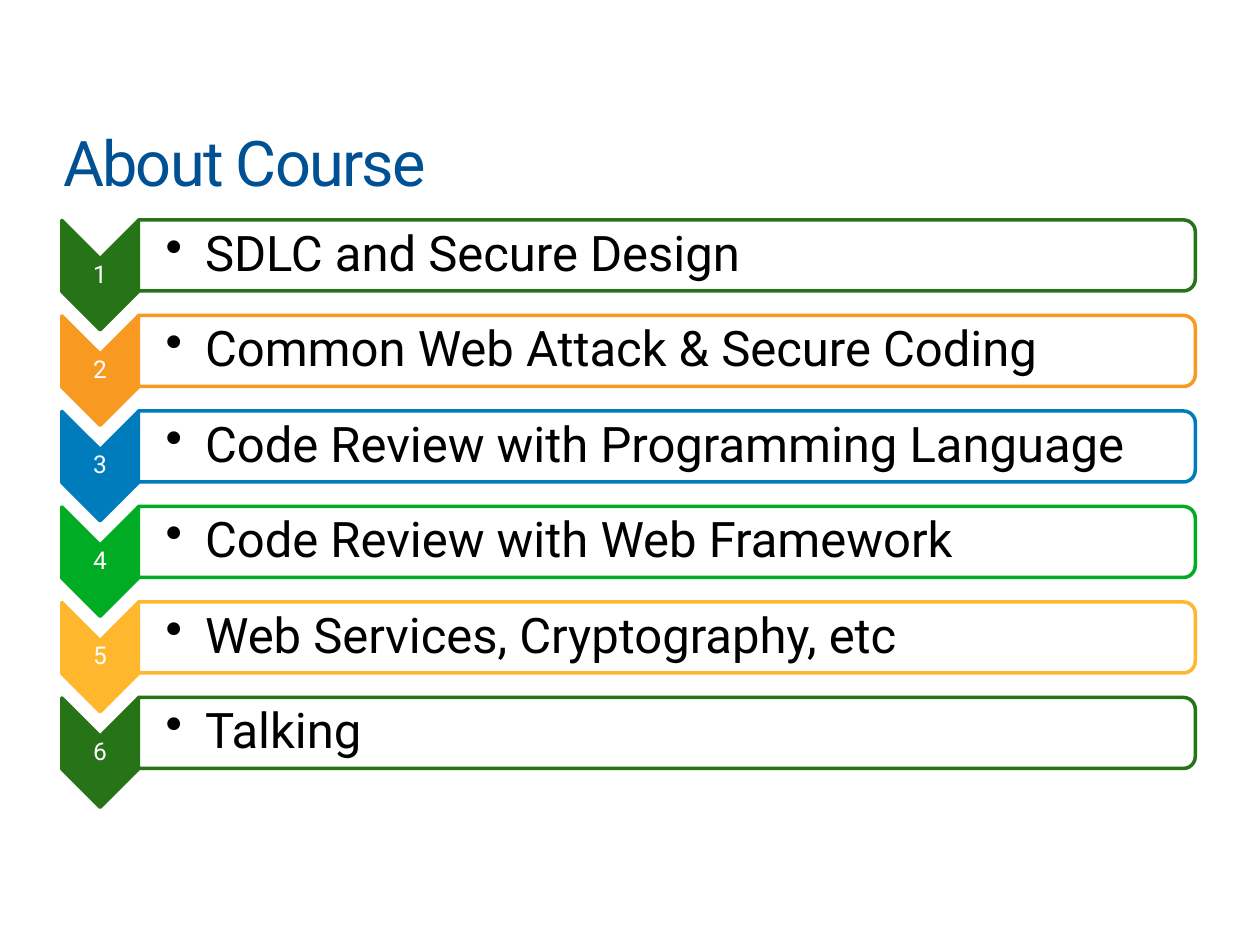
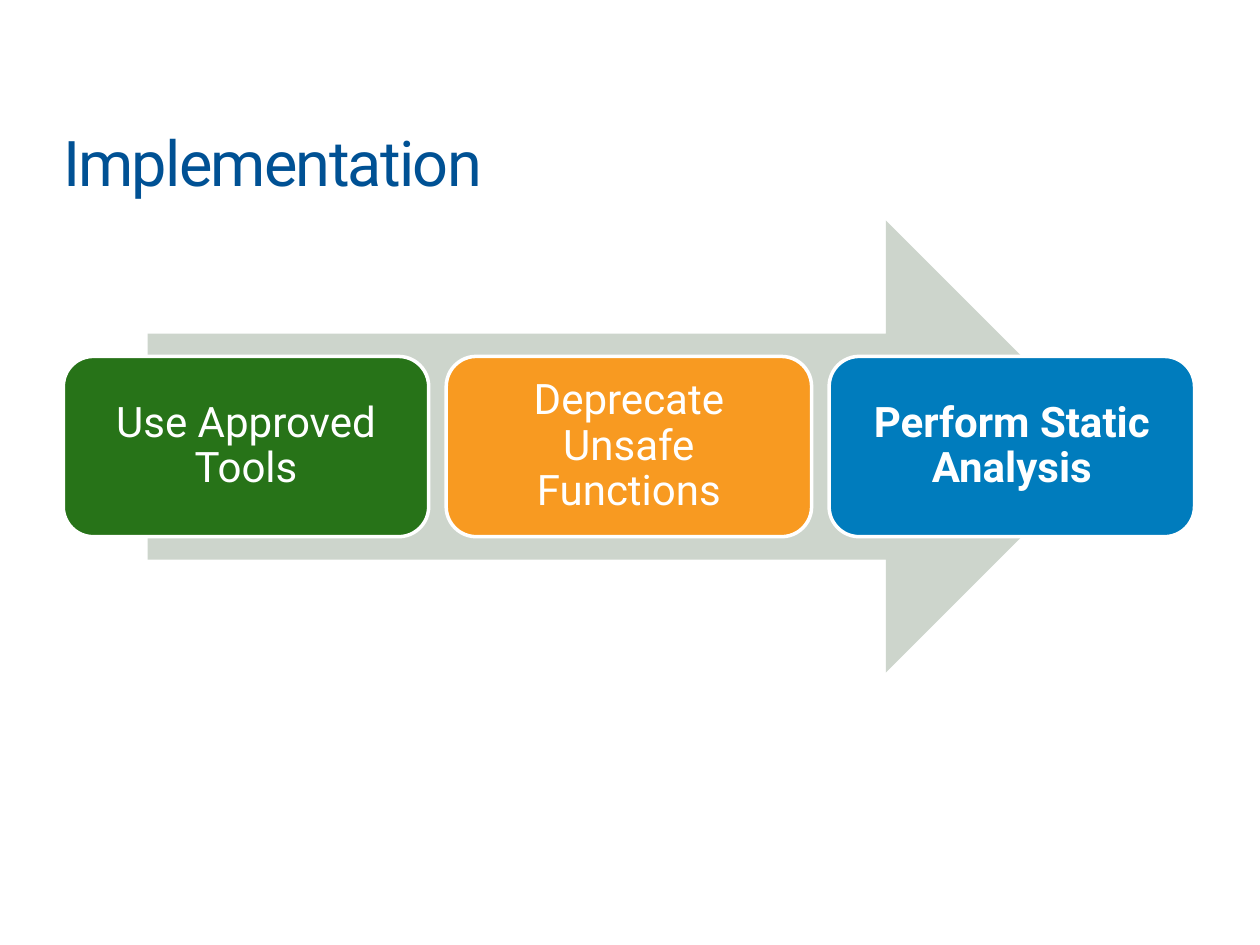
from dataclasses import dataclass

from lxml.etree import SubElement
from pptx import Presentation
from pptx.dml.color import RGBColor
from pptx.enum.shapes import MSO_SHAPE as Preset
from pptx.enum.text import MSO_ANCHOR as Anchor, PP_ALIGN as Align
from pptx.oxml.ns import qn
from pptx.util import Pt


@dataclass(frozen=True)
class Theme:
    font: str = "Roboto"
    title: str = "005194"
    text: str = "000000"
    white: str = "FFFFFF"
    arrow: str = "CDD5CC"
    accents: tuple = ("277318", "F89A21", "007CBD", "00AC24", "FFB82E")
    title_size: int = 36
    topic_size: int = 28
    step_size: int = 24
    number_size: int = 14
    outline: int = 2


THEME = Theme()

COURSE_TITLE = "About Course"
TOPICS = [
    "SDLC and Secure Design",
    "Common Web Attack & Secure Coding",
    "Code Review with Programming Language",
    "Code Review with Web Framework",
    "Web Services, Cryptography, etc",
    "Talking",
]

PRACTICE_TITLE = "Implementation"
# Step, emphasised
STEPS = [
    ("Use Approved Tools", False),
    ("Deprecate Unsafe Functions", False),
    ("Perform Static Analysis", True),
]

# Layout in points
SLIDE_SIZE = (720, 540)
TITLE_BOX = (36, 70.6, 648, 44)
ROW_PITCH = 54.57
BAR_CENTER = (381, 146)
BAR_LENGTH, BAR_HEIGHT = 604, 40.6
CHEVRON_CENTER = (57.2, 157.2)
CHEVRON_LENGTH, CHEVRON_WIDTH = 62.5, 43.75
NUMBER_HEIGHT = 19
ARROW_BOX = (84.4, 126, 551, 258.4)
STEP_LEFT, STEP_PITCH = 36.2, 218.8
STEP_WIDTH, STEP_HEIGHT = 208.8, 103


def color(value):
    return RGBColor.from_string(value)


def centered_box(center, width, height):
    return center[0] - width / 2, center[1] - height / 2, width, height


def set_text(shape, content, size, ink, align, inset, bold=False):
    """Write one middle-anchored paragraph; inset is left, then the other sides."""
    frame = shape.text_frame
    frame.word_wrap = True
    frame.vertical_anchor = Anchor.MIDDLE
    frame.margin_left = Pt(inset[0])
    frame.margin_top = frame.margin_right = frame.margin_bottom = Pt(inset[1])
    paragraph = frame.paragraphs[0]
    paragraph.text = content
    paragraph.alignment = align
    paragraph.line_spacing = 0.9
    style_run(paragraph.runs[0], size, ink, bold)
    return paragraph


def style_run(run, size, ink, bold=False):
    run.font.name = THEME.font
    run.font.size = Pt(size)
    run.font.bold = bold
    run.font.color.rgb = color(ink)


def add_preset(slide, preset, box, fill, line=None, rotation=0):
    shape = slide.shapes.add_shape(preset, *map(Pt, box))
    shape.shadow.inherit = False
    shape.rotation = rotation
    shape.fill.solid()
    shape.fill.fore_color.rgb = color(fill)
    if line:
        shape.line.color.rgb = color(line)
        shape.line.width = Pt(THEME.outline)
    else:
        shape.line.fill.background()
    return shape


def add_titled_slide(deck, title):
    slide = deck.slides.add_slide(deck.slide_layouts[5])
    heading = slide.shapes.title
    heading.left, heading.top, heading.width, heading.height = map(Pt, TITLE_BOX)
    frame = heading.text_frame
    frame.text = title
    frame.vertical_anchor = Anchor.TOP
    frame.margin_left = frame.margin_top = frame.margin_right = frame.margin_bottom = 0
    paragraph = frame.paragraphs[0]
    paragraph.alignment = Align.LEFT
    run = paragraph.runs[0]
    style_run(run, THEME.title_size, THEME.title)
    run.font._element.set("spc", "-100")
    return slide


def add_bullet(paragraph, indent):
    properties = paragraph._p.get_or_add_pPr()
    properties.set("marL", str(Pt(indent)))
    properties.set("indent", str(-Pt(indent)))
    SubElement(properties, qn("a:buChar")).set("char", "•")


def set_opacity(shape, percent):
    fill_color = shape._element.spPr.find(qn("a:solidFill"))[0]
    SubElement(fill_color, qn("a:alpha")).set("val", str(percent * 1000))


def add_topic(slide, index, topic):
    accent = THEME.accents[index % len(THEME.accents)]
    drop = index * ROW_PITCH
    chevron_center = (CHEVRON_CENTER[0], CHEVRON_CENTER[1] + drop)
    bar_center = (BAR_CENTER[0], BAR_CENTER[1] + drop)

    add_preset(slide, Preset.CHEVRON,
               centered_box(chevron_center, CHEVRON_LENGTH, CHEVRON_WIDTH),
               accent, accent, rotation=90)
    number_box = centered_box(chevron_center, CHEVRON_WIDTH, NUMBER_HEIGHT)
    number = slide.shapes.add_textbox(*map(Pt, number_box))
    set_text(number, str(index + 1), THEME.number_size, THEME.white,
             Align.CENTER, (0.7, 0.7))

    bar = add_preset(slide, Preset.ROUND_2_SAME_RECTANGLE,
                     centered_box(bar_center, BAR_HEIGHT, BAR_LENGTH),
                     THEME.white, accent, rotation=90)
    set_opacity(bar, 90)
    label_box = centered_box(bar_center, BAR_LENGTH, BAR_HEIGHT - 4)
    label = slide.shapes.add_textbox(*map(Pt, label_box))
    paragraph = set_text(label, topic, THEME.topic_size, THEME.text,
                         Align.LEFT, (15.7, 1.4))
    add_bullet(paragraph, 22.5)


def build_course(deck):
    slide = add_titled_slide(deck, COURSE_TITLE)
    for index, topic in enumerate(TOPICS):
        add_topic(slide, index, topic)


def build_practice(deck):
    slide = add_titled_slide(deck, PRACTICE_TITLE)
    add_preset(slide, Preset.RIGHT_ARROW, ARROW_BOX, THEME.arrow)
    step_top = ARROW_BOX[1] + (ARROW_BOX[3] - STEP_HEIGHT) / 2
    for index, (step, emphasised) in enumerate(STEPS):
        box = (STEP_LEFT + index * STEP_PITCH, step_top, STEP_WIDTH, STEP_HEIGHT)
        card = add_preset(slide, Preset.ROUNDED_RECTANGLE, box,
                          THEME.accents[index], THEME.white)
        set_text(card, step, THEME.step_size, THEME.white,
                 Align.CENTER, (7.2, 7.2), emphasised)


def main():
    deck = Presentation()
    deck.slide_width, deck.slide_height = map(Pt, SLIDE_SIZE)
    build_course(deck)
    build_practice(deck)
    deck.save("out.pptx")


if __name__ == "__main__":
    main()
